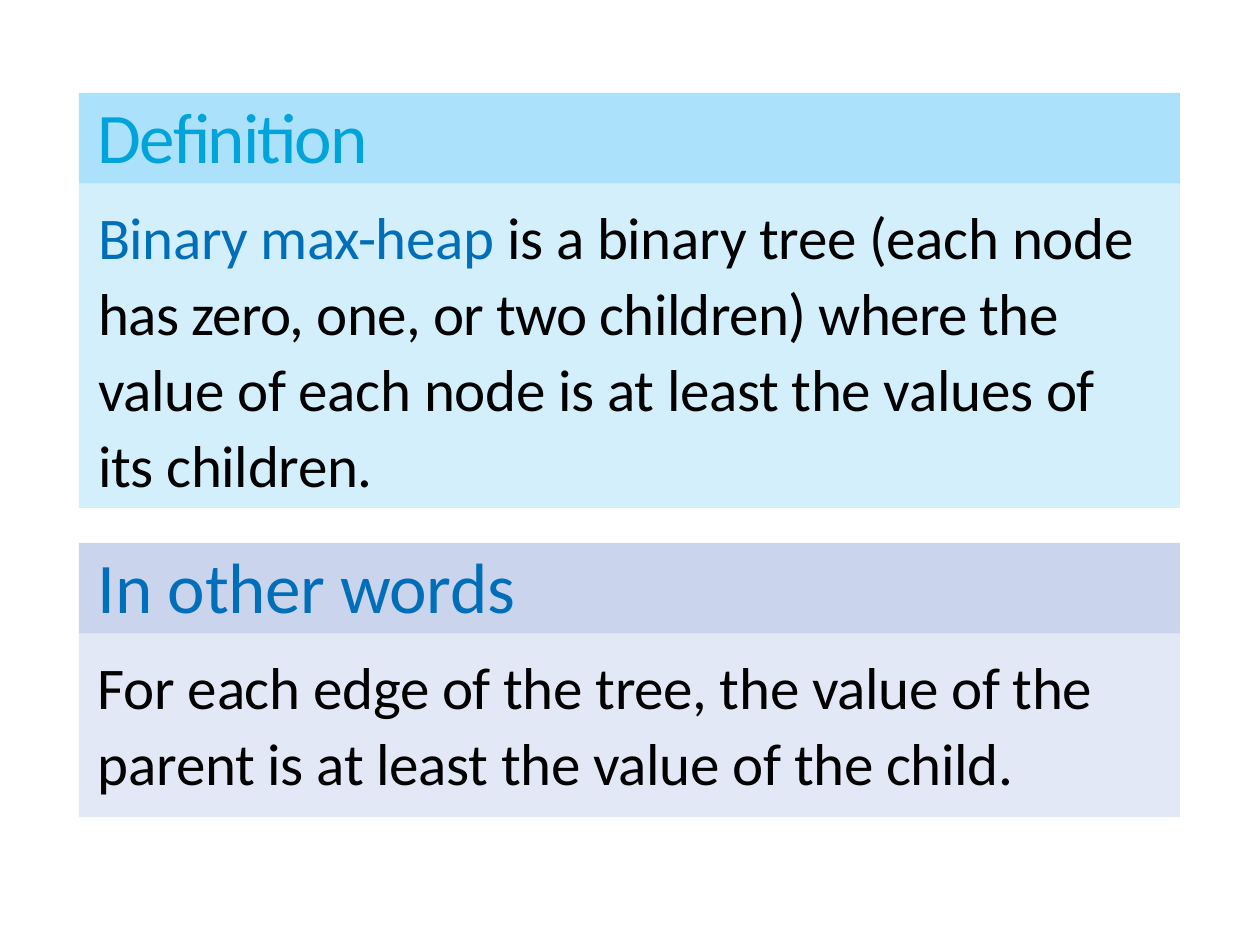
from pptx import Presentation
from pptx.dml.color import RGBColor
from pptx.enum import shapes, text
from pptx.util import Pt

CYAN, BLUE, BLACK = "00A4DB", "006EB8", "000000"

# Content: head and body are (fill, height, width of own text box, runs),
# each run is (words, color, tracking)
BLOCKS = [
    (("ABE1FA", 26.2, 80, [("Definition", CYAN, -0.5)]),
     ("D4EFFC", 93.3, 303, [
         ("Binary max-heap ", BLUE, -0.15),
         ("is a binary tree (each node ", BLACK, -0.1),
         ("has zero, one, or two children) where the ", BLACK, -0.2),
         ("value of each node is at least the values of its children.",
          BLACK, -0.1)])),
    (("CAD5ED", 26.2, None, [("In other words", BLUE, -0.15)]),
     ("E2E8F5", 52.8, None, [
         ("For each edge of the tree, the value of the "
          "parent is at least the value of the child.", BLACK, -0.1)])),
]
# Head and body: (text size, top inset, line spacing)
STYLES = [(20.5, 0, Pt(24.4)), (17, 3.4, 1.07)]
LEFT, TOP, WIDTH, GAP, INDENT = 22.75, 26.8, 317.2, 10.1, 5.5

deck = Presentation()
deck.slide_width, deck.slide_height = Pt(363), Pt(272.5)
slide = deck.slides.add_slide(deck.slide_layouts[6])


def paint(item, color):
    item.rgb = RGBColor.from_string(color)


def add_bar(top, fill, height):
    bar = slide.shapes.add_shape(shapes.MSO_SHAPE.RECTANGLE,
                                 Pt(LEFT), Pt(top), Pt(WIDTH), Pt(height))
    bar.shadow.inherit = False
    bar.fill.solid()
    paint(bar.fill.fore_color, fill)
    bar.line.fill.background()
    return bar


def write(frame, indent, runs, size, inset, lead):
    frame.word_wrap = True
    frame.vertical_anchor = text.MSO_ANCHOR.TOP
    frame.margin_left, frame.margin_right = Pt(indent), 0
    frame.margin_top, frame.margin_bottom = Pt(inset), 0
    para = frame.paragraphs[0]
    para.alignment = text.PP_ALIGN.LEFT
    para.line_spacing = lead
    for words, color, track in runs:
        run = para.add_run()
        run.text = words
        run.font.name, run.font.size = "Calibri", Pt(size)
        paint(run.font.color, color)
        run._r.get_or_add_rPr().set("spc", str(round(track * 100)))


# Stack the blocks, each a head directly above its body
top = TOP
for block in BLOCKS:
    for (fill, height, width, runs), style in zip(block, STYLES):
        holder, indent = add_bar(top, fill, height), INDENT
        if width:
            holder = slide.shapes.add_textbox(
                Pt(LEFT + INDENT), Pt(top), Pt(width), Pt(height))
            indent = 0
        write(holder.text_frame, indent, runs, *style)
        top += height
    top += GAP

deck.save("out.pptx")
